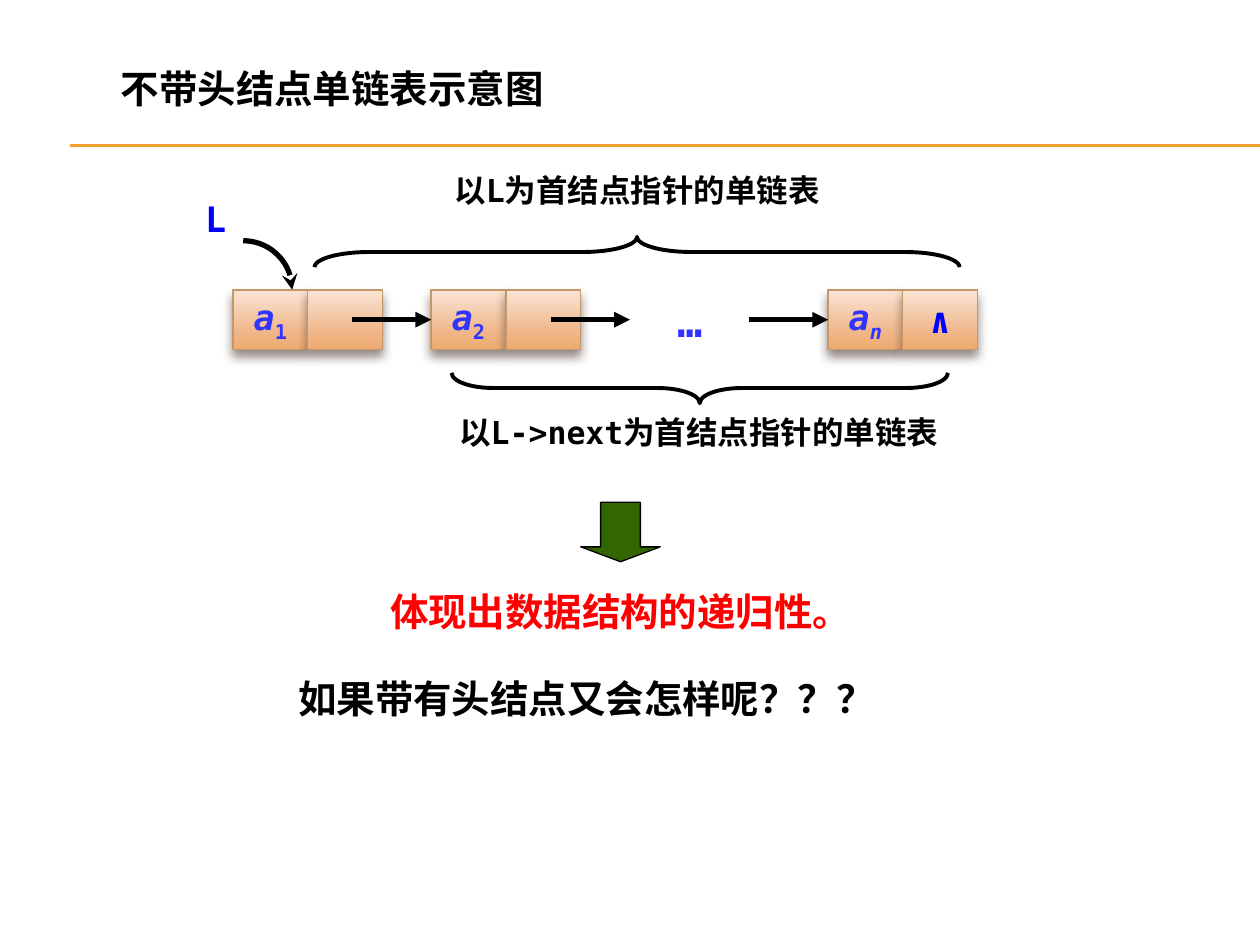
from copy import deepcopy
from math import cos, pi, sin

from pptx import Presentation
from pptx import util as u
from pptx.dml.color import RGBColor
from pptx.enum import shapes, text
from pptx.oxml import parse_xml
from pptx.oxml.ns import nsdecls, qn

Pt = u.Pt
rgb = RGBColor.from_string
MS = shapes.MSO_SHAPE
CENTER, LEFT = text.PP_ALIGN.CENTER, text.PP_ALIGN.LEFT

prs = Presentation()
prs.slide_width, prs.slide_height = Pt(720), Pt(540)
s = prs.slides.add_slide(prs.slide_layouts[6])


def write(tf, runs, size, color, align=CENTER):
    """Fill the first paragraph; each run is (text, italic, subscript)."""
    p = tf.paragraphs[0]
    p.alignment = align
    for words, italic, sub in runs:
        r = p.add_run()
        r.text = words
        fmt = dict(name="DejaVu Sans Mono", size=Pt(size), bold=True, italic=italic)
        for key, value in fmt.items():
            setattr(r.font, key, value)
        r.font.color.rgb = rgb(color)
        if sub:
            r.font._element.set("baseline", "-25000")


def label(parent, words, box, size, color, align=CENTER):
    tf = parent.add_textbox(*map(Pt, box)).text_frame
    fmt = dict(word_wrap=True, auto_size=text.MSO_AUTO_SIZE.SHAPE_TO_FIT_TEXT)
    for key, value in fmt.items():
        setattr(tf, key, value)
    write(tf, [(words, False, False)], size, color, align)


# List nodes: a data cell and a pointer cell each
node_top, cell_w, cell_h = 165.7, 42.7, 34
BLUE, PURE_BLUE = "3333FF", "0000FF"
nodes = [
    (133.2, [("a", True, False), ("1", False, True)], []),
    (246.4, [("a", True, False), ("2", False, True)], []),
    (473.2, [("a", True, False), ("n", True, True)], [("∧", False, False)]),
]
data_cells = []
for left, data, pointer in nodes:
    for i, (runs, color) in enumerate([(data, BLUE), (pointer, PURE_BLUE)]):
        sp = s.shapes.add_shape(MS.RECTANGLE, Pt(left + i * cell_w), Pt(node_top),
                                Pt(cell_w), Pt(cell_h))
        sp.fill.gradient()
        sp.fill.gradient_angle = 270
        last = sp._element.spPr.findall(".//" + qn("a:gs"))[-1]
        last.addprevious(deepcopy(last))
        stops = [(0, "FAE4D5"), (0.72, "EFB688"), (1, "EFAA6F")]
        for stop, (pos, tint) in zip(sp.fill.gradient_stops, stops):
            stop.position, stop.color.rgb = pos, rgb(tint)
        sp.line.color.rgb, sp.line.width = rgb("C3986D"), Pt(0.79)
        # Soft shadow below the cell
        sp.shadow.inherit = False
        sp._element.spPr.find(qn("a:effectLst")).append(parse_xml(
            f'<a:outerShdw {nsdecls("a")} blurRad="{Pt(6)}" dist="{Pt(4)}" '
            'dir="5400000" rotWithShape="0"><a:srgbClr val="4E3B30">'
            '<a:alpha val="60000"/></a:srgbClr></a:outerShdw>'))
        tf = sp.text_frame
        fmt = dict(word_wrap=False, vertical_anchor=text.MSO_ANCHOR.MIDDLE)
        for key, value in fmt.items():
            setattr(tf, key, value)
        write(tf, runs, 20, color)
        if i == 0:
            data_cells.append(sp)

label(s.shapes, "…", (371.5, 165.6, 45.4, 36), 24, BLUE)

# Head pointer: a quarter circle ending on the first cell
cx, cy, radius = 139, 165.6, 28
arc = [(Pt(cx + radius * sin(k * pi / 40)), Pt(cy - radius * cos(k * pi / 40)))
       for k in range(21)]
fb = s.shapes.build_freeform(*arc[0])
fb.add_line_segments(arc[1:], close=False)
sp = fb.convert_to_shape()
sp.shadow.inherit = False
sp.fill.background()
sp.line.color.rgb, sp.line.width = rgb("000000"), Pt(3)
sp.line._get_or_add_ln().append(parse_xml(f'<a:tailEnd {nsdecls("a")} type="stealth"/>'))
label(s.shapes, "L", (110.2, 109.4, 33.8, 31.7), 20, PURE_BLUE, LEFT)

# Title rules and next-pointer arrows: x1, x2, y, colour, width, target cell
mid = node_top + cell_h / 2
lines = [
    (40.3, 720, 82.8, "F0A22E", 0.75, None),
    (40.3, 720, 83.5, "F0A22E", 0.75, None),
    (201.3, 246.4, mid, "000000", 3, data_cells[1]),
    (314.7, 360, mid, "000000", 3, None),
    (428.2, 473.2, mid, "000000", 3, data_cells[2]),
]
for x1, x2, y, color, width, target in lines:
    c = s.shapes.add_connector(shapes.MSO_CONNECTOR.STRAIGHT, Pt(x1), Pt(y), Pt(x2), Pt(y))
    c.line.color.rgb, c.line.width = rgb(color), Pt(width)
    if target:
        c.end_connect(target, 1)
    if y == mid:
        c.line._get_or_add_ln().append(
            parse_xml(f'<a:tailEnd {nsdecls("a")} type="triangle"/>'))
    c._element.spPr.append(parse_xml(f'<a:effectLst {nsdecls("a")}/>'))

# Title and closing question
label(s.shapes, "不带头结点单链表示意图", (61.9, 33.8, 286.6, 33.8), 22, "000000", LEFT)
label(s.shapes, "如果带有头结点又会怎样呢？？？", (163.4, 382.3, 378.7, 33.8), 22, "000000", LEFT)

# Braces with captions, and the conclusion under its arrow
braces = s.shapes.add_group_shape().shapes
result = s.shapes.add_group_shape().shapes
label(braces, "以L为首结点指针的单链表", (211, 94.3, 306, 28.8), 18, "000000")
label(braces, "以L->next为首结点指针的单链表", (203.8, 232.6, 391, 28.8), 18, "000000")
label(result, "体现出数据结构的递归性。", (201.6, 332.6, 306, 33.8), 22, "FF0000")
marks = [
    (braces, MS.RIGHT_BRACE, (391.2, 79.9, 17.3, 283.7), 90, (1.39, 0.5), None, 2.25),
    (braces, MS.RIGHT_BRACE, (355.4, -40.3, 17.3, 368.6), 270, (1.81, 0.5), None, 2.25),
    (result, MS.DOWN_ARROW, (331.9, 287, 45.4, 34), 0, (0.5, 0.25), "336600", 0.75),
]
for parent, kind, box, turn, adj, fill, width in marks:
    sp = parent.add_shape(kind, *map(Pt, box))
    sp.rotation = turn
    sp.adjustments[0], sp.adjustments[1] = adj
    sp.shadow.inherit = False
    if fill:
        sp.fill.solid()
        sp.fill.fore_color.rgb = rgb(fill)
    else:
        sp.fill.background()
    sp.line.color.rgb, sp.line.width = rgb("000000"), Pt(width)

prs.save("out.pptx")
